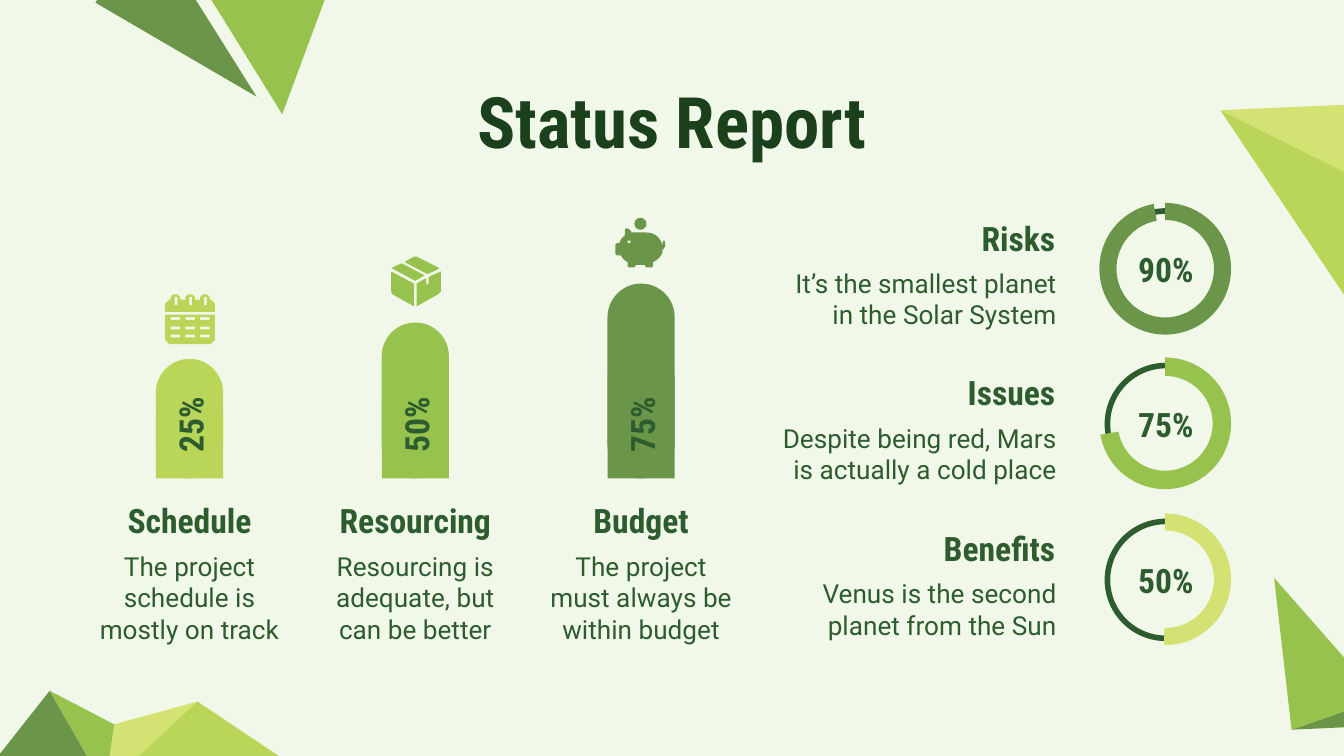
from pptx import Presentation
from pptx.dml.color import RGBColor
from pptx.enum.shapes import MSO_SHAPE as Preset
from pptx.enum.text import MSO_ANCHOR as Anchor, MSO_AUTO_SIZE as AutoSize, PP_ALIGN as Align
from pptx.util import Emu, Pt

PX = 9144  # EMU per px, 100 px to the inch
CURVE_STEPS = 8

CREAM = RGBColor(0xF2, 0xF8, 0xE9)
YELLOW = RGBColor(0xD4, 0xE2, 0x73)
LIME = RGBColor(0xB9, 0xD6, 0x58)
LEAF = RGBColor(0x96, 0xC2, 0x4D)
MOSS = RGBColor(0x6B, 0x96, 0x4A)
FOREST = RGBColor(0x2D, 0x5C, 0x2E)
DARK = RGBColor(0x1A, 0x41, 0x1B)

TRIANGLES = [
    (YELLOW, [(85, 539), (78, 586), (147, 522)]),
    (LIME, [(78, 586), (241, 585), (147, 522)]),
    (MOSS, [(1005, 541), (1027, 520), (961, 543)]),
    (LEAF, [(961, 543), (1027, 520), (948, 430)]),
    (LIME, [(1020, 249), (1035, 145), (908, 82)]),
    (YELLOW, [(1035, 145), (1001, 78), (908, 82)]),
    (LEAF, [(85, 539), (78, 586), (37, 514)]),
    (MOSS, [(-19, 585), (78, 586), (37, 514)]),
    (LEAF, [(272, -82), (130, -44), (210, 85)]),
    (MOSS, [(110, -57), (71, 2), (191, 72)]),
]

COLUMNS = [
    ("Schedule", "The project schedule is mostly on track", "25%", 89, LIME),
    ("Resourcing", "Resourcing is adequate, but can be better", "50%", 116, LEAF),
    ("Budget", "The project must always be within budget", "75%", 145, MOSS),
]

# The last two values are the angle where the arc ends and its thickness.
RINGS = [
    ("Risks", "It’s the smallest planet in the Solar System", "90%", MOSS, 260, 0.13),
    ("Issues", "Despite being red, Mars is actually a cold place", "75%", LEAF, 170, 0.14),
    ("Benefits", "Venus is the second planet from the Sun", "50%", YELLOW, 91, 0.13),
]

BOX_FACES = [
    [(299, 196), (292, 199), (292, 200), (309, 209), (316, 205)],
    [(328, 202), (319, 206), (319, 211), (318, 212), (317, 211), (317, 207),
     (310, 211), (310, 228), (326, 219), (328, 217)],
    [(309, 191), (308, 191), (301, 195), (318, 204), (327, 200), (326, 199), (310, 191)],
    [(291, 202), (291, 217), (292, 219), (308, 228), (308, 211)],
]

# A six-number entry is a cubic curve: two control points and an end point.
PIG_BODY = [
    (466, 170), (465, 170, 465, 171, 465, 172), (465, 175), (463, 177, 461, 179, 461, 181),
    (459, 181), (458, 182), (458, 189), (459, 190), (462, 190),
    (463, 192, 465, 194, 467, 195), (467, 198), (468, 199), (472, 199), (473, 198),
    (473, 197), (480, 197), (480, 198), (481, 199), (485, 199), (486, 198), (486, 195),
    (490, 193, 493, 190, 493, 186), (494, 185, 495, 184, 495, 182), (495, 180),
    (494, 179), (493, 180), (493, 183), (492, 177, 487, 173, 481, 173), (472, 173),
    (470, 173), (469, 171, 468, 170, 466, 170),
]


def rectangle(left, top, width, height):
    right, bottom = left + width, top + height
    return [(left, top), (right, top), (right, bottom), (left, bottom)]


def flatten(outline):
    """Turn the curves of an outline into short straight steps."""
    points = []
    for entry in outline:
        if len(entry) == 2:
            points.append(entry)
            continue
        nodes = [points[-1], entry[:2], entry[2:4], entry[4:]]
        for step in range(1, CURVE_STEPS + 1):
            t = step / CURVE_STEPS
            weights = ((1 - t) ** 3, 3 * t * (1 - t) ** 2, 3 * t * t * (1 - t), t ** 3)
            points.append(tuple(sum(w * node[axis] for w, node in zip(weights, nodes))
                                for axis in (0, 1)))
    return points


class StatusSlide:
    def __init__(self, slide):
        self.slide = slide
        self.heading_font = "Roboto Condensed"
        self.body_font = "Roboto"
        slide.background.fill.solid()
        slide.background.fill.fore_color.rgb = CREAM

    def place(self, shape, left, top, width, height):
        shape.left, shape.top, shape.width, shape.height = (
            Emu(round(value * PX)) for value in (left, top, width, height))

    def paint(self, shape, color):
        shape.shadow.inherit = False
        shape.fill.solid()
        shape.fill.fore_color.rgb = color
        shape.line.fill.background()

    def set_text(self, shape, text, size, align, anchor, color=FOREST, bold=True):
        frame = shape.text_frame
        frame.word_wrap = True
        frame.auto_size = AutoSize.NONE
        frame.vertical_anchor = anchor
        frame.margin_left = frame.margin_right = Emu(10 * PX)
        frame.margin_top = frame.margin_bottom = Emu(10 * PX)
        paragraph = frame.paragraphs[0]
        paragraph.alignment = align
        run = paragraph.add_run()
        run.text = text
        run.font.name = self.heading_font if bold else self.body_font
        run.font.size = Pt(size)
        run.font.bold = bold
        run.font.color.rgb = color

    def title(self, text, *box):
        shape = self.slide.shapes.title
        self.place(shape, *box)
        self.set_text(shape, text, 38, Align.CENTER, Anchor.TOP, DARK)

    def heading(self, text, box, align=Align.CENTER, rotation=0):
        shape = self.slide.shapes.add_textbox(0, 0, 0, 0)
        self.place(shape, *box)
        shape.rotation = rotation
        self.set_text(shape, text, 18, align, Anchor.MIDDLE)

    def body(self, text, box, align=Align.CENTER, anchor=Anchor.MIDDLE):
        shape = self.slide.shapes.add_textbox(0, 0, 0, 0)
        self.place(shape, *box)
        self.set_text(shape, text, 14, align, anchor, bold=False)

    def preset(self, kind, box, color):
        shape = self.slide.shapes.add_shape(kind, 0, 0, 0, 0)
        self.place(shape, *box)
        self.paint(shape, color)
        return shape

    def outline(self, color, *contours):
        """Draw one filled shape; contours after the first are holes."""
        builder = None
        for contour in contours:
            # Tenths of a px keep the curve steps smooth.
            points = [(x * 10, y * 10) for x, y in flatten(contour)]
            if builder is None:
                builder = self.slide.shapes.build_freeform(*points[0], scale=PX / 10)
            else:
                builder.move_to(*points[0])
            builder.add_line_segments(points[1:], close=True)
        self.paint(builder.convert_to_shape(), color)

    def bar(self, center, base, length, color):
        """Draw an upright bar: a pill with its lower half squared off."""
        for kind, span in ((Preset.ROUNDED_RECTANGLE, length),
                           (Preset.RECTANGLE, length * 8 // 15)):
            box = (center - span / 2, base - span / 2 - 25, span, 50)
            shape = self.preset(kind, box, color)
            shape.rotation = 90
            if kind == Preset.ROUNDED_RECTANGLE:
                shape.adjustments[0] = 0.5

    def ring(self, left, top, color, end_angle, thickness):
        track = self.preset(Preset.OVAL, (left + 6, top + 6, 87, 87), color)
        track.fill.background()
        track.line.color.rgb = FOREST
        track.line.width = Pt(3)
        arc = self.preset(Preset.BLOCK_ARC, (left, top, 98, 98), color)
        for index, value in enumerate((270 * 0.6, end_angle * 0.6, thickness)):
            arc.adjustments[index] = value

    def calendar(self, color):
        cell_lefts = (127, 138, 149)
        cells = [rectangle(x, y, 7, 2) for y in (236, 243, 249) for x in cell_lefts]
        self.outline(color, [(123, 234), (123, 253), (126, 256), (157, 256),
                             (160, 253), (160, 234)], *cells)
        header = [(123, 232), (123, 226), (126, 223)]
        for x in cell_lefts:
            header += [(x, 223), (x, 221), (x + 2, 219), (x + 5, 219), (x + 7, 221), (x + 7, 223)]
        header += [(157, 223), (160, 226), (160, 232)]
        self.outline(color, header, *[rectangle(x + 3, 221, 2, 6) for x in cell_lefts])

    def piggy_bank(self, color):
        self.preset(Preset.OVAL, (472, 162, 9, 9), color)
        self.outline(color, PIG_BODY, rectangle(467, 179, 2, 2))


def main():
    presentation = Presentation()
    presentation.slide_width = Emu(1000 * PX)
    presentation.slide_height = Emu(5143500)
    status = StatusSlide(presentation.slides.add_slide(presentation.slide_layouts[5]))

    for color, corners in TRIANGLES:
        status.outline(color, corners)
    status.title("Status Report", 78, 48, 844, 80)

    for index, (name, text, percent, length, color) in enumerate(COLUMNS):
        left = 62 + 168 * index
        status.heading(name, (left, 376, 158, 22))
        status.body(text, (left, 400, 158, 89))
        status.bar(left + 79, 356, length, color)
        status.heading(percent, (left + 35, 294, 89, 16), Align.LEFT, rotation=270)

    for index, (name, text, percent, color, end_angle, thickness) in enumerate(RINGS):
        top = 151 + 231 * index // 2
        status.heading(name, (637, top + 15, 158, 22), Align.RIGHT)
        status.body(text, (567, top + 38, 229, 47), Align.RIGHT, Anchor.TOP)
        status.ring(818, top, color, end_angle, thickness)
        status.heading(percent, (831, top + 31, 73, 37))

    status.calendar(LIME)
    for face in BOX_FACES:
        status.outline(LEAF, face)
    status.piggy_bank(MOSS)

    presentation.save("out.pptx")


if __name__ == "__main__":
    main()
